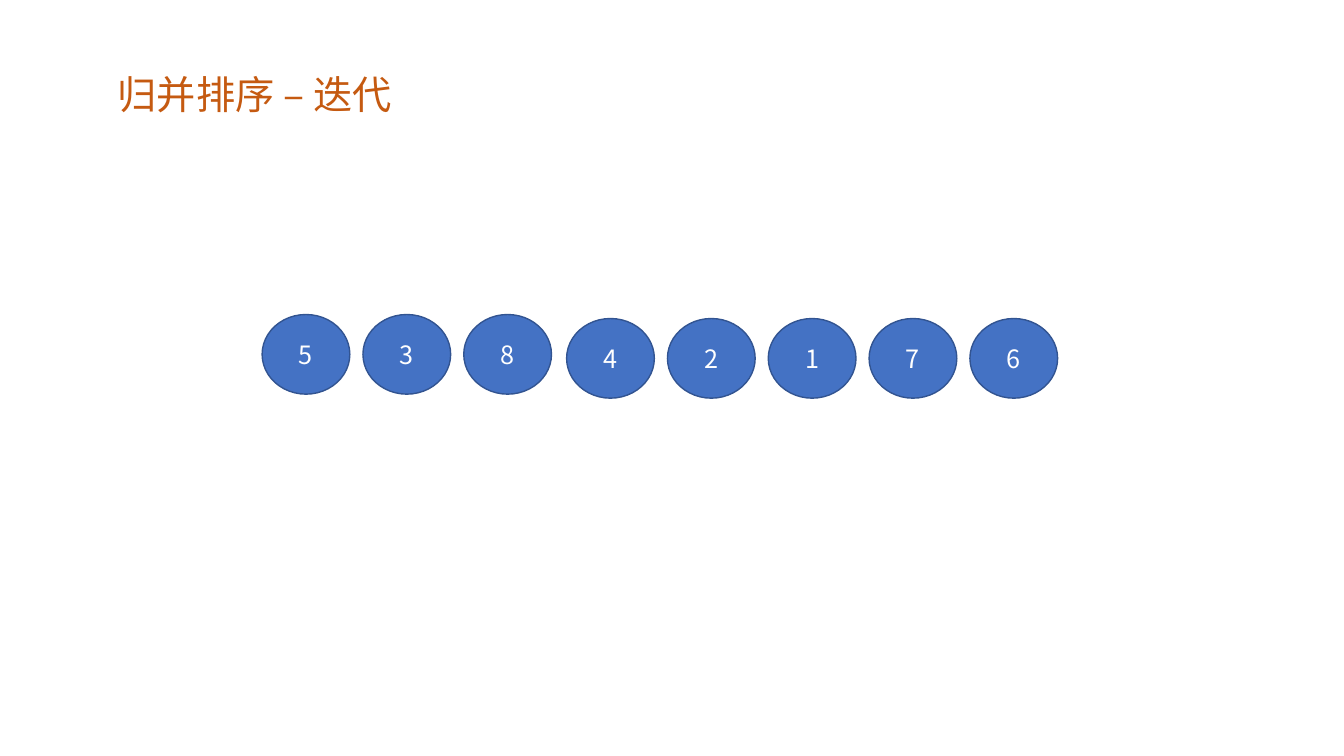
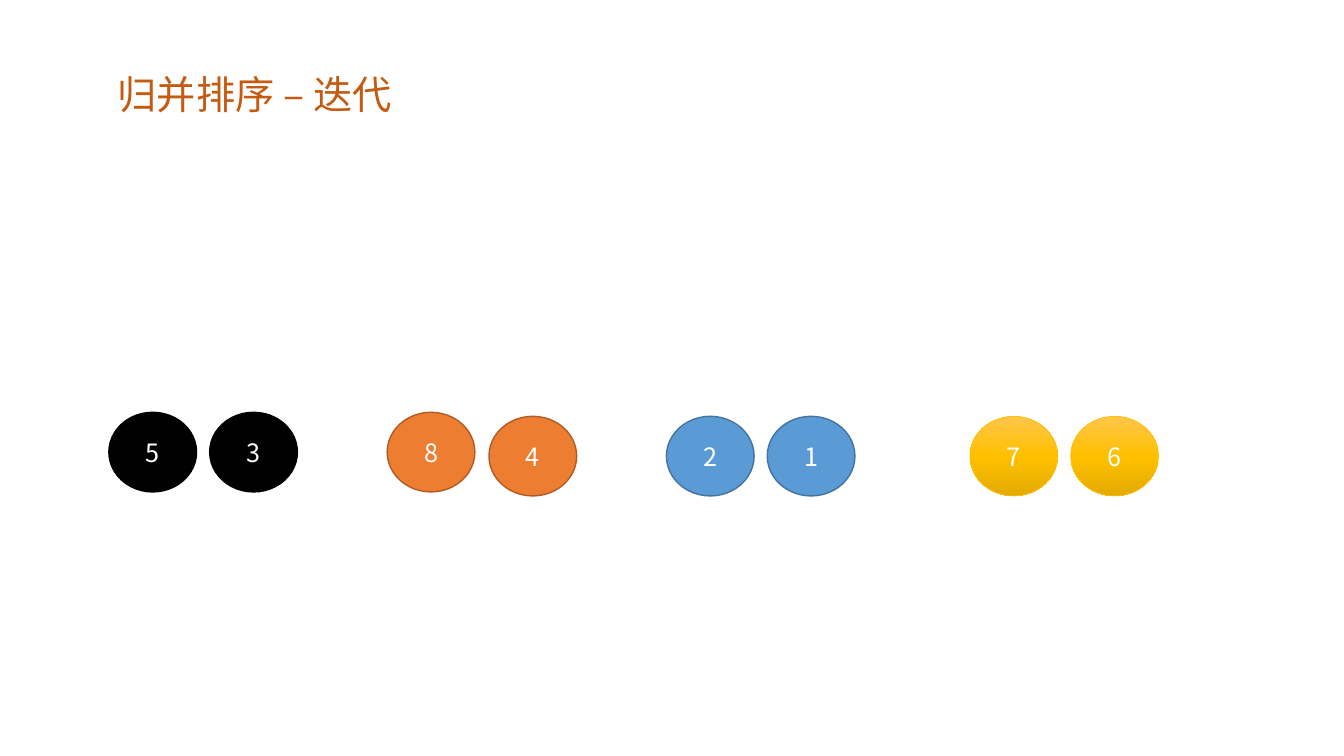
import copy

import pptx
import pptx.dml.color
import pptx.enum.shapes
import pptx.enum.text
import pptx.oxml.ns
import pptx.util

Inches = pptx.util.Inches
Pt = pptx.util.Pt


def color(value):
    return pptx.dml.color.RGBColor.from_string(value)


def write(frame, text, size=18, font="Noto Sans CJK SC", ink="FFFFFF",
          align=pptx.enum.text.PP_ALIGN.CENTER,
          anchor=pptx.enum.text.MSO_ANCHOR.MIDDLE, wrap=True):
    frame.word_wrap = wrap
    frame.vertical_anchor = anchor
    paragraph = frame.paragraphs[0]
    paragraph.alignment = align
    run = paragraph.add_run()
    run.text = text
    run.font.size = Pt(size)
    run.font.name = font
    run.font.color.rgb = color(ink)
    east_asian = run.font._element.makeelement(
        pptx.oxml.ns.qn("a:ea"), {"typeface": "Noto Sans CJK SC"})
    run.font._element.append(east_asian)


class SortDeck:
    BLUE = (["4472C4"], "325491", 1)
    BLACK = (["000000"], "000000", 1)
    ORANGE = (["ED7D31"], "AF5C24", 1)
    SKY = (["5B9BD5"], "43739E", 1)
    GOLD = (["FFC64B", "FFC000", "E3AB00"], "FFC000", 0.5)
    TITLE_INK = "C55A11"
    STEP = 1.0

    def __init__(self):
        self.deck = pptx.Presentation()
        self.deck.slide_width = Inches(13.33)
        self.deck.slide_height = Inches(7.5)
        self.slide = None

    def new_slide(self):
        self.slide = self.deck.slides.add_slide(self.deck.slide_layouts[6])

    def title(self, text):
        box = self.slide.shapes.add_textbox(
            Inches(1.07), Inches(0.65), Inches(3.15), Inches(0.57))
        write(box.text_frame, text, size=28, font="Arial", ink=self.TITLE_INK,
              align=pptx.enum.text.PP_ALIGN.LEFT,
              anchor=pptx.enum.text.MSO_ANCHOR.TOP, wrap=False)
        box.text_frame.auto_size = pptx.enum.text.MSO_AUTO_SIZE.SHAPE_TO_FIT_TEXT

    def paint(self, fill, colors):
        if len(colors) == 1:
            fill.solid()
            fill.fore_color.rgb = color(colors[0])
            return
        fill.gradient()
        fill.gradient_angle = 270
        first = fill.gradient_stops[0]._gs
        first.addnext(copy.deepcopy(first))
        for index, (stop, value) in enumerate(zip(fill.gradient_stops, colors)):
            stop.position = index / (len(colors) - 1)
            stop.color.rgb = color(value)

    def number(self, digit, left, top, look):
        colors, outline, weight = look
        circle = self.slide.shapes.add_shape(
            pptx.enum.shapes.MSO_SHAPE.OVAL,
            Inches(left), Inches(top), Inches(0.87), Inches(0.79))
        circle.shadow.inherit = False
        self.paint(circle.fill, colors)
        circle.line.color.rgb = color(outline)
        circle.line.width = Pt(weight)
        write(circle.text_frame, digit)

    def numbers(self, digits, left, top, look):
        for index, digit in enumerate(digits):
            self.number(digit, left + index * self.STEP, top, look)


sort = SortDeck()
unsorted_list = [
    ("538", 2.6, 3.12, sort.BLUE),
    ("42176", 5.62, 3.16, sort.BLUE),
]
pairs = [
    ("53", 1.08, 4.09, sort.BLACK),
    ("8", 3.84, 4.09, sort.ORANGE),
    ("4", 4.85, 4.13, sort.ORANGE),
    ("21", 6.61, 4.13, sort.SKY),
    ("76", 9.62, 4.13, sort.GOLD),
]
for groups in (unsorted_list, pairs):
    sort.new_slide()
    for group in groups:
        sort.numbers(*group)
    sort.title("归并排序 – 迭代")

sort.deck.save("out.pptx")
